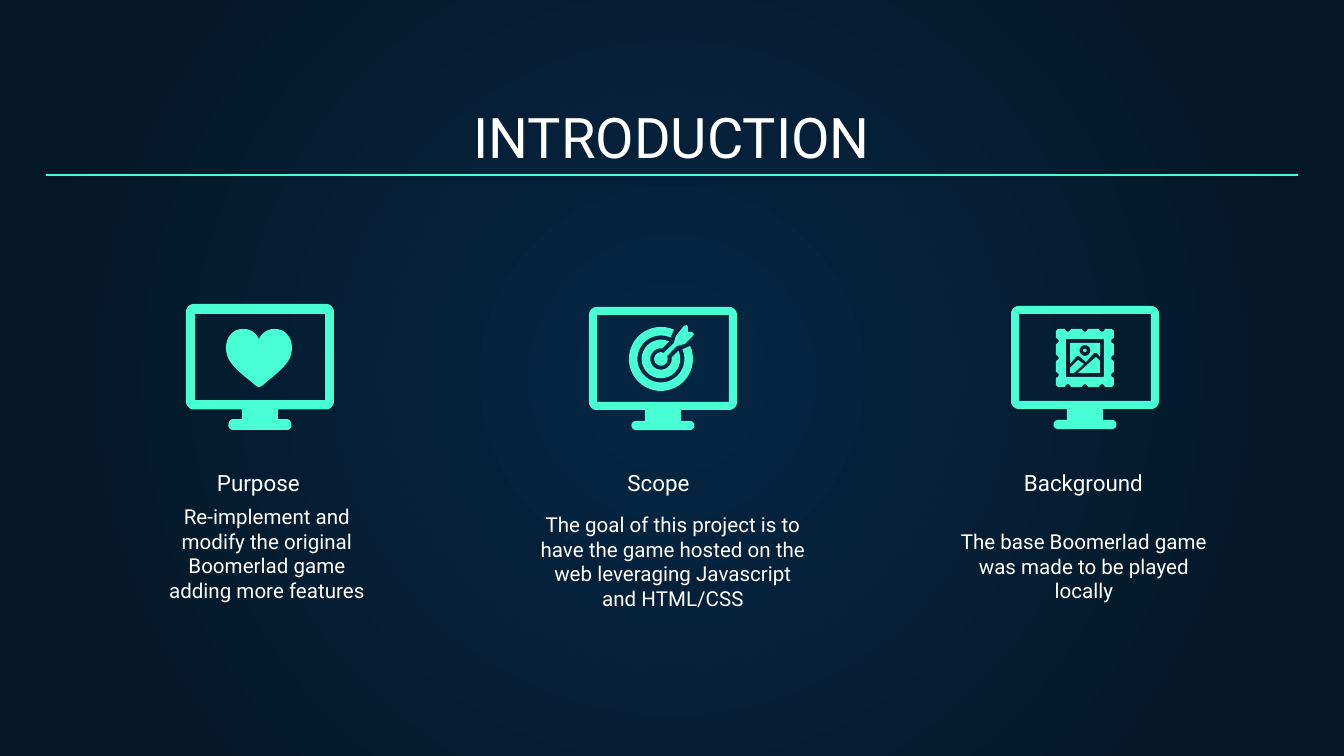
from math import cos, radians, sin

from lxml.etree import SubElement
from pptx import Presentation
from pptx.dml.color import RGBColor
from pptx.enum.shapes import MSO_CONNECTOR as Connector
from pptx.enum.text import MSO_ANCHOR as Anchor, PP_ALIGN as Align
from pptx.oxml.ns import qn
from pptx.util import Pt

MINT = RGBColor(0x48, 0xFF, 0xD5)
WHITE = RGBColor(0xFF, 0xFF, 0xFF)
NAVY = RGBColor(0x05, 0x26, 0x43)
MIDNIGHT = RGBColor(0x04, 0x15, 0x23)

WIDTH, HEIGHT = 1344, 756
SCALE = 9144000 / WIDTH
FINE = 10
MONITOR_WIDTH, MONITOR_HEIGHT = 148, 123


def emu(px):
    return round(px * SCALE)


def arc(x, y, radius, start, end):
    steps = max(6, round(abs(end - start) / 8))
    angles = [radians(start + (end - start) * i / steps) for i in range(steps + 1)]
    return [(x + radius * cos(a), y + radius * sin(a)) for a in angles]


def curve(a, b, c, d, steps=12):
    points = []
    for i in range(steps + 1):
        t = i / steps
        weights = (1 - t) ** 3, 3 * t * (1 - t) ** 2, 3 * t * t * (1 - t), t ** 3
        points.append(tuple(sum(w * p[k] for w, p in zip(weights, (a, b, c, d)))
                            for k in (0, 1)))
    return points


def box(left, top, right, bottom):
    return [(left, top), (right, top), (right, bottom), (left, bottom)]


def monitor():
    frame = (arc(8, 8, 8, 180, 270) + arc(140, 8, 8, 270, 360)
             + arc(140, 95, 8, 0, 90) + [(92, 103), (92, 114)]
             + arc(101, 118.5, 4.5, -90, 90) + arc(47, 118.5, 4.5, 90, 270)
             + [(56, 114), (56, 103)] + arc(8, 95, 8, 90, 180))
    return [frame, box(8, 8, 140, 95)]


def heart():
    half = (curve((0, 58), (-3, 58), (-7, 53), (-10, 51))
            + curve((-10, 51), (-25, 39), (-33, 31), (-33, 19))
            + curve((-33, 19), (-33, 8), (-26, 0), (-16, 0))
            + curve((-16, 0), (-8, 0), (-3, 4), (0, 10)))
    return [[half + [(-x, y) for x, y in reversed(half)]]]


def ring(outer, inner, outer_gap, inner_gap):
    return [arc(0, 0, outer, outer_gap - 45, 315 - outer_gap)
            + arc(0, 0, inner, 315 - inner_gap, inner_gap - 45)]


def target():
    dart = arc(0, 0, 6.7, -25, -65 + 360) + [
        (13, -16), (15, -23), (23, -33), (26, -34), (27, -32), (27, -27),
        (31, -27), (33, -25), (32, -23), (24, -15), (16, -13)]
    return [[dart], ring(19.3, 10.7, 20, 38), ring(32, 23.5, 21, 21)]


def stamp():
    side = [(-27, -29)]
    for notch in (-17, 0, 17):
        side += [(notch - 3, -29), (notch - 2, -27), (notch, -26),
                 (notch + 2, -27), (notch + 3, -29)]
    side.append((27, -29))
    edge = []
    for _ in range(4):
        edge += side
        side = [(-y, x) for x, y in side]
    sky = [(-15, -15), (-15, 6), (-8, -2), (-6, -2), (1, 4), (9, -5),
           (12, -5), (15, -1), (15, -15)]
    near_hill = [(11, -1), (-7, 15), (15, 15), (15, 3)]
    far_hill = [(-7, 2), (-15, 10), (-15, 15), (-11, 15), (-1, 6)]
    return [[near_hill], [arc(0, -7.5, 1.7, 0, 360)], [far_hill],
            [sky, arc(0, -7.5, 5.4, 0, 360)], [edge, box(-19, -19, 19, 19)]]


class Deck:
    font, color = "Roboto", WHITE
    accent = MINT
    inset = 13

    def __init__(self):
        self.show = Presentation()
        self.show.slide_width, self.show.slide_height = emu(WIDTH), emu(HEIGHT)
        self.slide = self.show.slides.add_slide(self.show.slide_layouts[6])

    def glow(self, center, rim):
        fill = self.slide.background.fill
        fill.gradient()
        for stop, color, position in zip(fill.gradient_stops, (center, rim), (0, 1)):
            stop.color.rgb, stop.position = color, position
        gradient = self.slide.element.find(".//" + qn("a:gradFill"))
        gradient.remove(gradient.find(qn("a:lin")))
        circle = SubElement(gradient, qn("a:path"), {"path": "circle"})
        SubElement(circle, qn("a:fillToRect"), dict.fromkeys("ltrb", "50000"))

    def text(self, text, *, at, size, anchor=Anchor.TOP, indent=0):
        frame = self.slide.shapes.add_textbox(*map(emu, at)).text_frame
        frame.word_wrap = True
        frame.vertical_anchor = anchor
        frame.margin_left = frame.margin_right = emu(self.inset)
        frame.margin_top = frame.margin_bottom = emu(self.inset)
        frame.text = text
        for line in frame.paragraphs:
            line.alignment = Align.CENTER
            if indent:
                line._p.get_or_add_pPr().set("marL", str(emu(indent)))
            font = line.font
            for run in line.runs:
                font = run.font
                font.name, font.size, font.color.rgb = self.font, Pt(size), self.color

    def rule(self, left, right, y):
        line = self.slide.shapes.add_connector(
            Connector.STRAIGHT, emu(left), emu(y), emu(right), emu(y))
        line.line.color.rgb, line.line.width = self.accent, Pt(0.75)
        SubElement(line._element.spPr, qn("a:effectLst"))

    def outline(self, loops, x, y, stretch=(1, 1)):
        loops = [[((x + px * stretch[0]) * FINE, (y + py * stretch[1]) * FINE)
                  for px, py in loop] for loop in loops]
        builder = self.slide.shapes.build_freeform(*loops[0][0], scale=SCALE / FINE)
        for index, loop in enumerate(loops):
            if index:
                builder.move_to(*loop[0])
            builder.add_line_segments(loop[1:], close=True)
        shape = builder.convert_to_shape()
        shape.shadow.inherit = False
        shape.fill.solid()
        shape.fill.fore_color.rgb = self.accent
        shape.line.fill.background()

    def screen(self, left, top, width=MONITOR_WIDTH, height=MONITOR_HEIGHT):
        self.outline(monitor(), left, top,
                     (width / MONITOR_WIDTH, height / MONITOR_HEIGHT))

    def icon(self, parts, x, y):
        for loops in parts:
            self.outline(loops, x, y)


def main():
    deck = Deck()
    deck.glow(NAVY, MIDNIGHT)
    deck.text("INTRODUCTION", at=(46, 94, 1252, 89), size=30, anchor=Anchor.BOTTOM)
    deck.rule(46, 1298, 175)

    for heading, left in (("Purpose", 106), ("Scope", 506), ("Background", 931)):
        deck.text(heading, at=(left, 481, 305, 28), size=12, anchor=Anchor.BOTTOM)
    deck.text("Re-implement and\nmodify the original Boomerlad game adding more features",
              at=(75, 491, 317, 126), size=11, indent=67)
    deck.text("The goal of this project is to have the game hosted on the web "
              "leveraging Javascript and HTML/CSS", at=(524, 499, 298, 126), size=11)
    deck.text("The base Boomerlad game was made to be played locally",
              at=(935, 516, 298, 77), size=11)

    deck.screen(187, 306, width=146, height=122)
    deck.screen(186, 304, height=126)
    deck.screen(589, 307)
    deck.screen(1011, 306)
    deck.icon(heart(), 259, 329)
    deck.icon(target(), 661, 359)
    deck.icon(stamp(), 1085, 358)
    deck.show.save("out.pptx")


if __name__ == "__main__":
    main()
